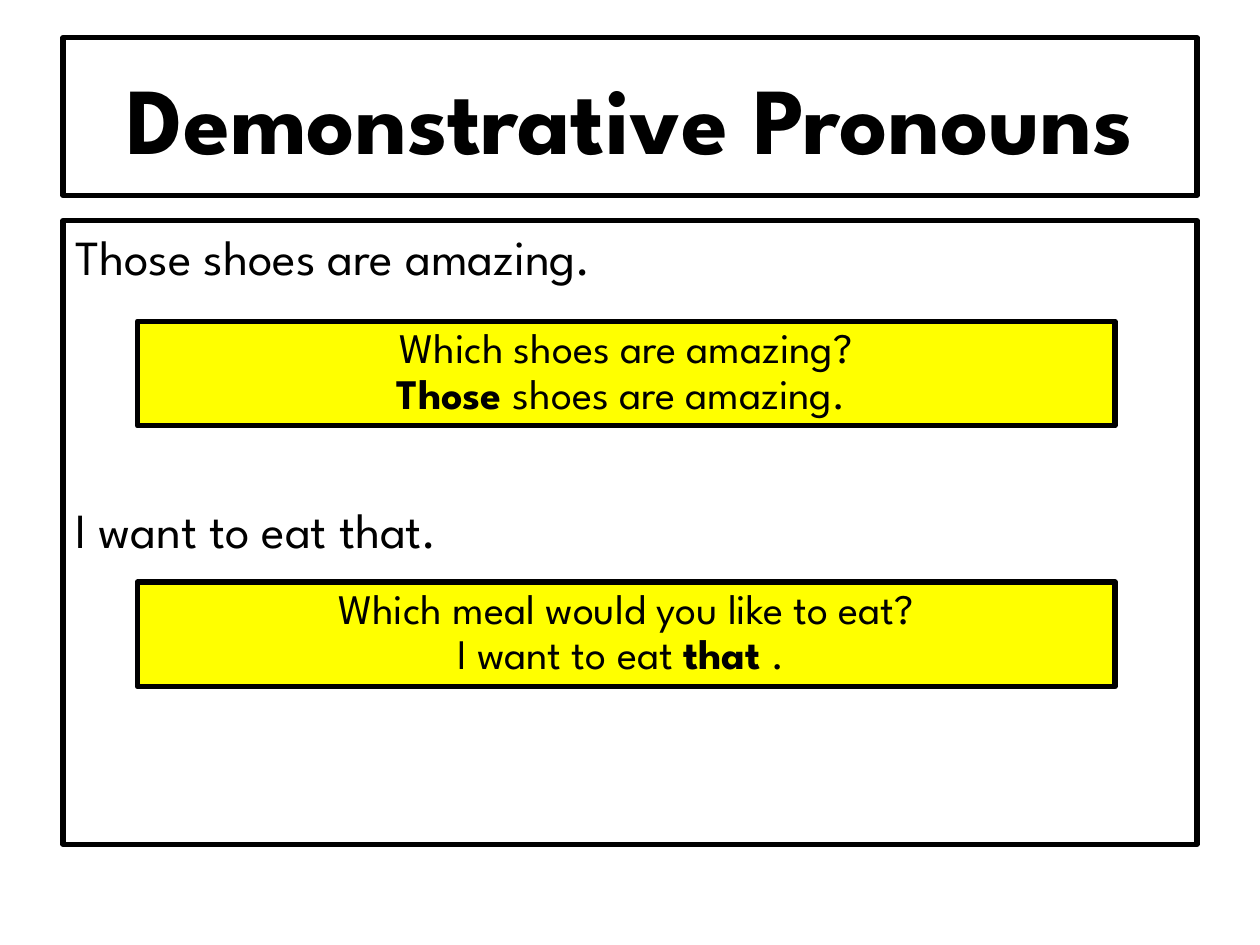
from dataclasses import dataclass

from pptx import Presentation
from pptx.dml.color import RGBColor
from pptx.enum.shapes import MSO_SHAPE
from pptx.enum.text import MSO_ANCHOR, MSO_AUTO_SIZE, PP_ALIGN
from pptx.util import Inches, Pt

COLORS = {"ink": "000000", "paper": "FFFFFF", "note": "FFFF00"}
FONT = "League Spartan"

# A line is a list of (text, bold) runs
Line = list[tuple[str, bool]]


@dataclass
class Box:
    left: float
    top: float
    width: float
    height: float
    fill: str
    size: int
    lines: list[Line]
    frame: dict
    para: dict
    gap: float = 0  # points between paragraphs


def color(name: str) -> RGBColor:
    return RGBColor.from_string(COLORS[name])


def apply(target, values: dict) -> None:
    for key, value in values.items():
        setattr(target, key, value)


def draw(slide, box: Box) -> None:
    shape = slide.shapes.add_shape(
        MSO_SHAPE.RECTANGLE, Inches(box.left), Inches(box.top),
        Inches(box.width), Inches(box.height))
    shape.shadow.inherit = False
    shape.fill.solid()
    shape.fill.fore_color.rgb = color(box.fill)
    shape.line.color.rgb = color("ink")
    shape.line.width = Pt(3)

    frame = shape.text_frame
    apply(frame, {"word_wrap": True, **box.frame})
    for i, line in enumerate(box.lines):
        para = frame.add_paragraph() if i else frame.paragraphs[0]
        apply(para, box.para)
        if i:
            para.space_before = Pt(box.gap)
        for text, bold in line:
            run = para.add_run()
            run.text = text
            apply(run.font, {"name": FONT, "size": Pt(box.size), "bold": bold})
            run.font.color.rgb = color("ink")


def note(top: float, lines: list[Line]) -> Box:
    return Box(1.09, top, 7.76, 0.83, "note", 24, lines,
               {"vertical_anchor": MSO_ANCHOR.TOP,
                "auto_size": MSO_AUTO_SIZE.SHAPE_TO_FIT_TEXT},
               {"alignment": PP_ALIGN.CENTER, "line_spacing": 0.9})


BOXES = [
    # Title
    Box(0.5, 0.3, 9, 1.25, "paper", 54, [[("Demonstrative Pronouns", True)]],
        {"vertical_anchor": MSO_ANCHOR.MIDDLE},
        {"alignment": PP_ALIGN.CENTER}),
    # Example sentences
    Box(0.5, 1.75, 9, 4.95, "paper", 28,
        [[("Those shoes are amazing.", False)],
         [("I want to eat that.", False)]],
        {"vertical_anchor": MSO_ANCHOR.TOP},
        {"alignment": PP_ALIGN.LEFT}, gap=122),
    # Questions and answers
    note(2.55, [[("Which shoes are amazing?", False)],
                [("Those ", True), ("shoes are amazing. ", False)]]),
    note(4.62, [[("Which meal would you like to eat?", False)],
                [("I want to eat ", False), ("that ", True), (". ", False)]]),
]


def main() -> None:
    deck = Presentation()
    apply(deck, {"slide_width": Inches(10), "slide_height": Inches(7.5)})
    slide = deck.slides.add_slide(deck.slide_layouts[6])
    for box in BOXES:
        draw(slide, box)
    deck.save("out.pptx")


if __name__ == "__main__":
    main()
